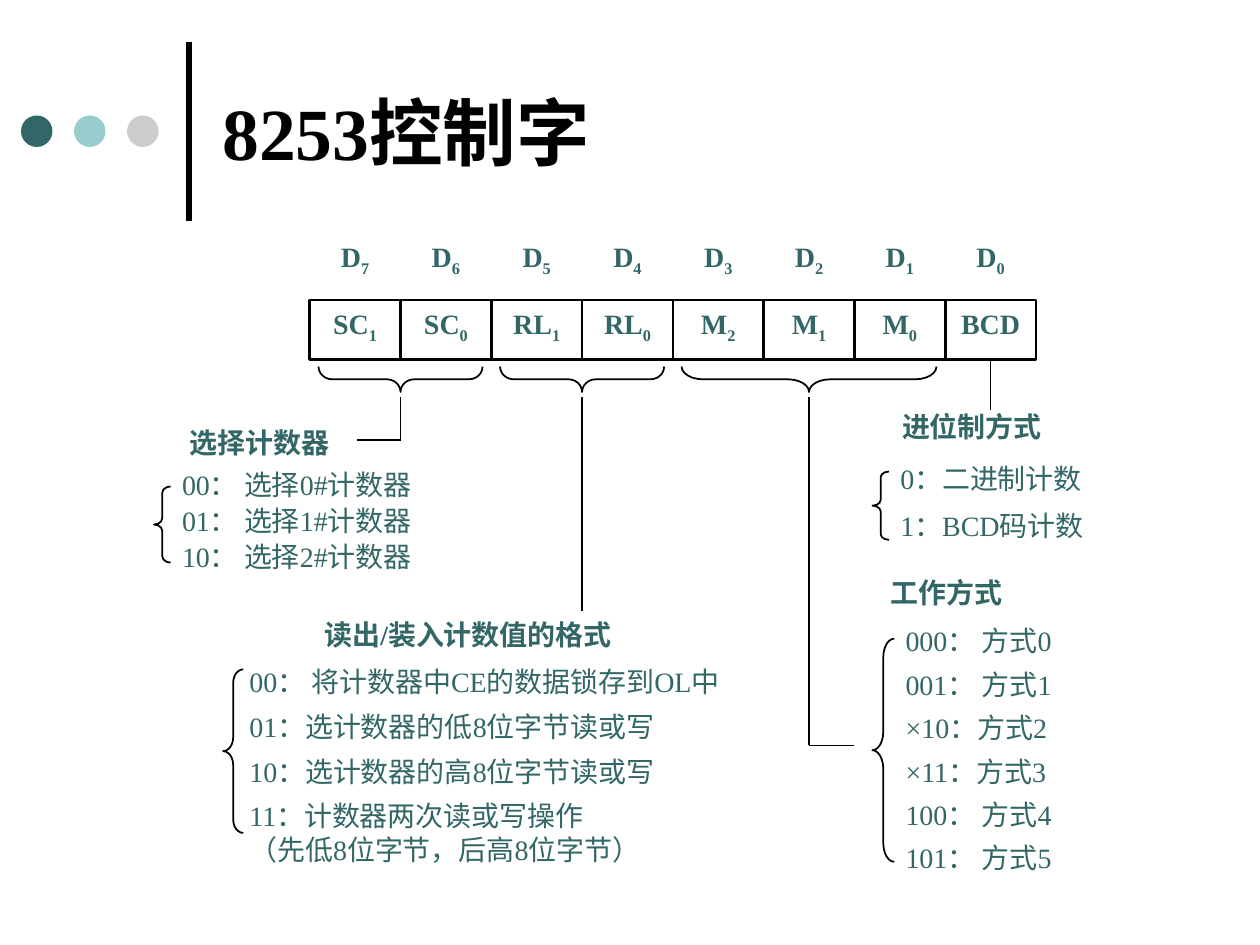
from dataclasses import dataclass

from lxml import etree
from pptx import Presentation
from pptx.dml.color import RGBColor
from pptx.enum.shapes import MSO_CONNECTOR, MSO_SHAPE
from pptx.enum.text import MSO_ANCHOR
from pptx.oxml.ns import qn
from pptx.util import Pt

STRAIGHT = MSO_CONNECTOR.STRAIGHT
OVAL, RECTANGLE, LEFT_BRACE = MSO_SHAPE.OVAL, MSO_SHAPE.RECTANGLE, MSO_SHAPE.LEFT_BRACE
TOP, MIDDLE = MSO_ANCHOR.TOP, MSO_ANCHOR.MIDDLE


@dataclass(frozen=True)
class Theme:
    ink: RGBColor = RGBColor(0x00, 0x00, 0x00)
    teal: RGBColor = RGBColor(0x33, 0x66, 0x66)
    aqua: RGBColor = RGBColor(0x99, 0xCC, 0xCC)
    gray: RGBColor = RGBColor(0xCC, 0xCC, 0xCC)
    serif: str = "Times New Roman"
    sans: str = "Arial"
    title: float = 42
    body: float = 16
    rule: float = 3
    frame: float = 1.5
    brace: float = 1
    stem: float = 0.75


@dataclass(frozen=True)
class Box:
    left: float
    top: float
    width: float
    height: float

    @property
    def right(self):
        return self.left + self.width

    @property
    def bottom(self):
        return self.top + self.height

    def lengths(self):
        return Pt(self.left), Pt(self.top), Pt(self.width), Pt(self.height)


@dataclass(frozen=True)
class OptionLayout:
    heading_left: float
    brace_top: float
    brace_width: float
    list_left: float
    list_top: float
    pitch: float


THEME = Theme()
LINE_HEIGHT = 21


def add_run(paragraph, text, size=THEME.body, color=THEME.teal, bold=False, face=THEME.serif):
    run = paragraph.add_run()
    run.text = text
    run.font.size = Pt(size)
    run.font.name = face
    run.font.bold = bold
    run.font.color.rgb = color
    return run


def set_frame(frame, inset_x=0, inset_y=0, anchor=TOP):
    frame.word_wrap = True
    frame.margin_left = frame.margin_right = Pt(inset_x)
    frame.margin_top = frame.margin_bottom = Pt(inset_y)
    frame.vertical_anchor = anchor
    return frame


def add_text(slide, box, text, bold=False):
    frame = set_frame(slide.shapes.add_textbox(*box.lengths()).text_frame)
    for index, line in enumerate(text.split("\n")):
        paragraph = frame.paragraphs[0] if index == 0 else frame.add_paragraph()
        add_run(paragraph, line, bold=bold)


def add_line(slide, x1, y1, x2, y2, weight):
    line = slide.shapes.add_connector(STRAIGHT, Pt(x1), Pt(y1), Pt(x2), Pt(y2))
    line.line.color.rgb = THEME.ink
    line.line.width = Pt(weight)
    etree.SubElement(line._element.spPr, qn("a:effectLst"))


def add_brace(slide, box, rotation=0):
    brace = slide.shapes.add_shape(LEFT_BRACE, *box.lengths())
    brace.adjustments[0] = box.height / 12 / box.width
    brace.rotation = rotation
    brace.shadow.inherit = False
    brace.fill.background()
    brace.line.color.rgb = THEME.ink
    brace.line.width = Pt(THEME.brace)


def add_bit_labels(paragraph, labels, column):
    tabs = etree.SubElement(paragraph._p.get_or_add_pPr(), qn("a:tabLst"))
    for index, (name, subscript) in enumerate(labels):
        position = str(int(Pt(column * (index + 0.5))))
        etree.SubElement(tabs, qn("a:tab"), pos=position, algn="ctr")
        add_run(paragraph, "\t" + name, bold=True)
        if subscript:
            digit = add_run(paragraph, subscript, bold=True)
            digit._r.get_or_add_rPr().set("baseline", "-25000")


def title_band(slide, box):
    for index, color in enumerate((THEME.teal, THEME.aqua, THEME.gray)):
        dot_box = Box(box.left + 12 + 30.3 * index, box.top + 51, 18, 18)
        dot = slide.shapes.add_shape(OVAL, *dot_box.lengths())
        dot.shadow.inherit = False
        dot.fill.solid()
        dot.fill.fore_color.rgb = color
        dot.line.fill.background()
    rule_x = box.left + 108
    add_line(slide, rule_x, box.top + 9, rule_x, box.top + 111, THEME.rule)
    title_box = Box(box.left + 120, box.top, box.width - 120, box.height)
    title = slide.shapes.add_textbox(*title_box.lengths())
    paragraph = set_frame(title.text_frame, 7.2, 3.6, MIDDLE).paragraphs[0]
    add_run(paragraph, "8253", THEME.title, THEME.ink, True)
    add_run(paragraph, "控制字", THEME.title, THEME.ink, True, THEME.sans)


def control_word(slide, box, fields):
    column = box.width / len(fields)
    bits = [("D", str(bit)) for bit in reversed(range(len(fields)))]
    bit_row = slide.shapes.add_textbox(*Box(box.left, box.top - 34.5, box.width, 24).lengths())
    add_bit_labels(set_frame(bit_row.text_frame).paragraphs[0], bits, column)

    register = slide.shapes.add_shape(RECTANGLE, *box.lengths())
    register.shadow.inherit = False
    register.fill.background()
    register.line.color.rgb = THEME.ink
    register.line.width = Pt(THEME.frame)
    paragraph = set_frame(register.text_frame, 0, 3.6).paragraphs[0]
    paragraph.alignment = 1
    add_bit_labels(paragraph, fields, column)
    for index in range(1, len(fields)):
        x = box.left + column * index
        add_line(slide, x, box.top, x, box.bottom, THEME.frame)


def field_leads(slide, box, columns, leads):
    column = box.width / columns
    depth, inset = 14.5, 5
    brace_top = box.top + 4
    for first, count, stem_end, elbow_end in leads:
        span = column * count
        center = box.left + column * first + span / 2
        stem_top = box.top
        if count > 1:
            length = span - 2 * inset
            middle = brace_top + depth / 2
            add_brace(slide, Box(center - depth / 2, middle - length / 2, depth, length), 270)
            stem_top = brace_top + depth + 3
        add_line(slide, center, stem_top, center, stem_end, THEME.stem)
        if elbow_end is not None:
            add_line(slide, center, stem_end, elbow_end, stem_end, THEME.stem)


def option_group(slide, box, layout, heading, options):
    heading_x = box.left + layout.heading_left
    add_text(slide, Box(heading_x, box.top, box.right - heading_x, LINE_HEIGHT), heading, True)
    brace_height = box.height - layout.brace_top
    add_brace(slide, Box(box.left, box.top + layout.brace_top, layout.brace_width, brace_height))
    list_x = box.left + layout.list_left
    for index, option in enumerate(options):
        top = box.top + layout.list_top + layout.pitch * index
        height = LINE_HEIGHT * len(option.split("\n"))
        add_text(slide, Box(list_x, top, box.right - list_x, height), option)


def main():
    deck = Presentation()
    deck.slide_width, deck.slide_height = Pt(720), Pt(540)
    slide = deck.slides.add_slide(deck.slide_layouts[6])
    title_band(slide, Box(0, 15, 720, 120))

    fields = [("SC", "1"), ("SC", "0"), ("RL", "1"), ("RL", "0"),
              ("M", "2"), ("M", "1"), ("M", "0"), ("BCD", "")]
    register_box = Box(177, 171.5, 415, 34)
    control_word(slide, register_box, fields)
    leads = [(0, 2, 251.5, 204), (2, 2, 349, None), (4, 3, 426, 488), (7, 1, 234, None)]
    leads_box = Box(register_box.left, register_box.bottom, register_box.width, 221)
    field_leads(slide, leads_box, len(fields), leads)

    option_group(slide, Box(88, 243, 162, 78.5), OptionLayout(20.5, 35, 9.5, 16, 24, 20.5),
                 "选择计数器", [f"{code}： 选择{n}#计数器" for n, code in enumerate(("00", "01", "10"))])
    option_group(slide, Box(498.5, 234, 155, 74.5), OptionLayout(17, 35.5, 9.5, 16, 30, 26.6),
                 "进位制方式", ["0：二进制计数", "1：BCD码计数"])
    option_group(slide, Box(127.5, 353, 316, 123), OptionLayout(58, 29.5, 11.5, 15, 26.5, 25.7),
                 "读出/装入计数值的格式",
                 ["00： 将计数器中CE的数据锁存到OL中", "01：选计数器的低8位字节读或写",
                  "10：选计数器的高8位字节读或写",
                  "11：计数器两次读或写操作\n（先低8位字节，后高8位字节）"])
    option_group(slide, Box(498.5, 329, 157, 163.5), OptionLayout(10.5, 36, 12.5, 19, 27.5, 24.8),
                 "工作方式",
                 ["000： 方式0", "001： 方式1", "×10：方式2", "×11：方式3", "100： 方式4", "101： 方式5"])
    deck.save("out.pptx")


if __name__ == "__main__":
    main()
